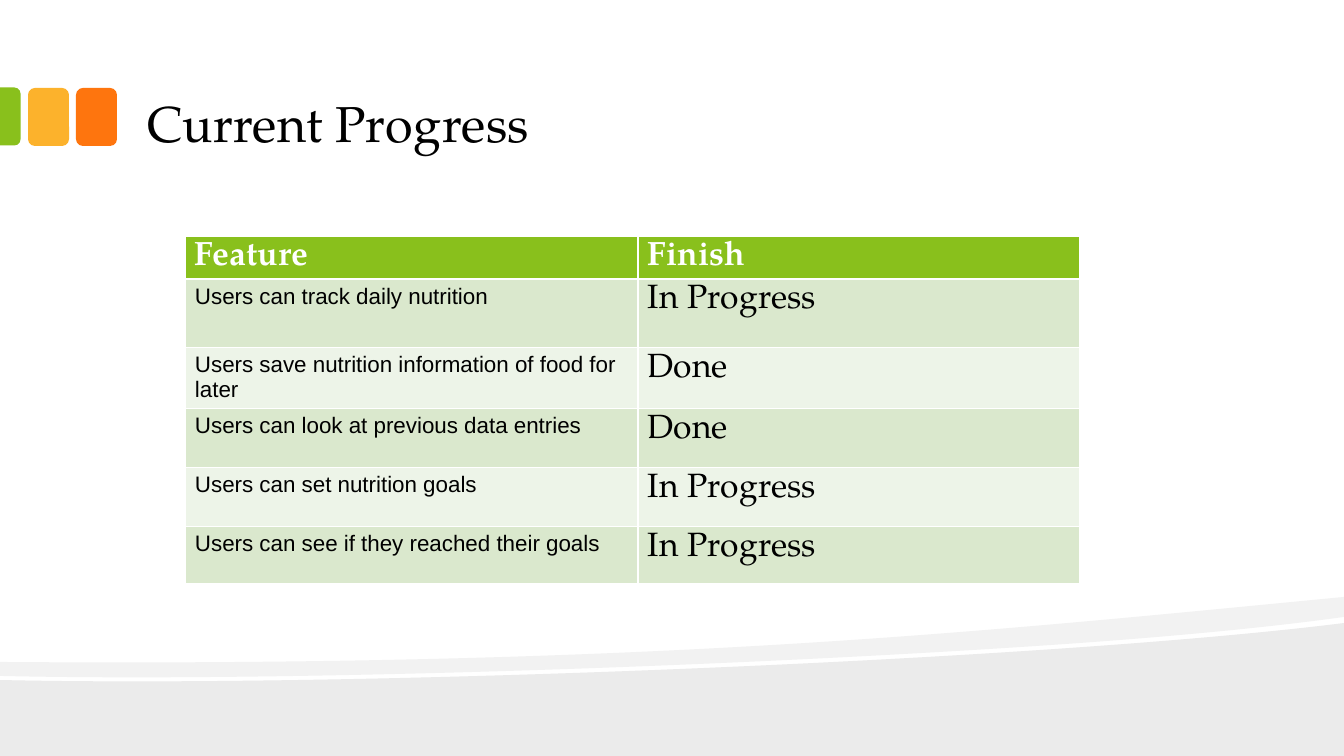
from lxml.etree import SubElement
from pptx import Presentation
from pptx.dml.color import RGBColor
from pptx.enum.shapes import MSO_SHAPE
from pptx.enum.text import MSO_ANCHOR, PP_ALIGN
from pptx.oxml.ns import qn
from pptx.util import Emu, Pt

BLACK = RGBColor(0, 0, 0)
WHITE = RGBColor(255, 255, 255)
GREEN = RGBColor(0x89, 0xC0, 0x1C)
AMBER = RGBColor(0xFC, 0xB2, 0x2C)
ORANGE = RGBColor(0xFE, 0x75, 0x0E)
MINT = RGBColor(0xDA, 0xE8, 0xCD)
PALE = RGBColor(0xED, 0xF4, 0xE8)
GRAY = RGBColor(0xEB, 0xEB, 0xEB)
LIGHT = RGBColor(0xF2, 0xF2, 0xF2)
SERIF = "TeX Gyre Pagella"
SANS = "Arial"


def px(n):
    return Emu(round(n * 914400 / 100.8))


deck = Presentation()
deck.slide_width, deck.slide_height = px(1344), px(756)
slide = deck.slides.add_slide(deck.slide_layouts[5])
shapes = slide.shapes

hill = [(1344, 756), (0, 756), (0, 680), (355, 688), (1050, 660), (1344, 623)]
band = [(0, 662), (657, 667), (979, 632), (1344, 597), (1344, 617),
        (1265, 628), (1158, 638), (1037, 646), (704, 668), (260, 682), (0, 676)]
parts = []
for outline, bends, color in ((hill, [2], GRAY), (band, [0, 4, 7], LIGHT)):
    points = [(px(x), px(y)) for x, y in outline]
    pen = shapes.build_freeform(*points[0])
    pen.add_line_segments(points[1:])
    wave = pen.convert_to_shape()
    track = wave._element.find(".//" + qn("a:path"))
    lines = track.findall(qn("a:lnTo"))
    for start in bends:
        bend = SubElement(track, qn("a:cubicBezTo"))
        lines[start].addprevious(bend)
        for line in lines[start:start + 3]:
            bend.append(line[0])
            track.remove(line)
    parts.append((wave, color))

for left, color in ((76, ORANGE), (28, AMBER)):
    tile = shapes.add_shape(MSO_SHAPE.ROUNDED_RECTANGLE, px(left), px(88), px(41), px(58))
    parts.append((tile, color))
tab = shapes.add_shape(MSO_SHAPE.ROUND_2_SAME_RECTANGLE, px(-19), px(106), px(58), px(21))
tab.rotation = 90
tab.adjustments[0], tab.adjustments[1] = 0.29, 0
parts.append((tab, GREEN))

for shape, color in parts:
    shape.shadow.inherit = False
    shape.fill.solid()
    shape.fill.fore_color.rgb = color
    shape.line.fill.background()

rows = [
    ("Feature", "Finish"),
    ("Users can track daily nutrition", "In Progress"),
    ("Users save nutrition information of food for later", "Done"),
    ("Users can look at previous data entries", "Done"),
    ("Users can set nutrition goals", "In Progress"),
    ("Users can see if they reached their goals", "In Progress"),
]
heights = [42, 69, 61, 59, 59, 57]
grid = shapes.add_table(6, 2, px(185), px(236), px(895), px(sum(heights))).table
grid.columns[0].width, grid.columns[1].width = px(453), px(442)
for r, (row, height) in enumerate(zip(rows, heights)):
    grid.rows[r].height = px(height)
    for c, text in enumerate(row):
        cell = grid.cell(r, c)
        small = r > 0 and c == 0
        cell.margin_left = cell.margin_right = px(10)
        cell.margin_top = cell.margin_bottom = px(5)
        cell.vertical_anchor = MSO_ANCHOR.TOP
        cell.text_frame.text = text
        font = cell.text_frame.paragraphs[0].runs[0].font
        font.name = SANS if small else SERIF
        font.size = Pt(16 if small else 24)
        font.bold = r == 0
        font.color.rgb = BLACK if r else WHITE
        cell.fill.solid()
        cell.fill.fore_color.rgb = GREEN if r == 0 else MINT if r % 2 else PALE

title = shapes.title
title.left, title.top, title.width, title.height = px(134), px(17), px(1075), px(143)
frame = title.text_frame
frame.text = "Current Progress"
frame.word_wrap = True
frame.vertical_anchor = MSO_ANCHOR.BOTTOM
frame.margin_left = frame.margin_right = px(13)
frame.margin_top = frame.margin_bottom = px(7)
head = frame.paragraphs[0]
head.alignment = PP_ALIGN.LEFT
font = head.runs[0].font
font.name, font.size = SERIF, Pt(36)
font.color.rgb = BLACK

deck.save("out.pptx")
